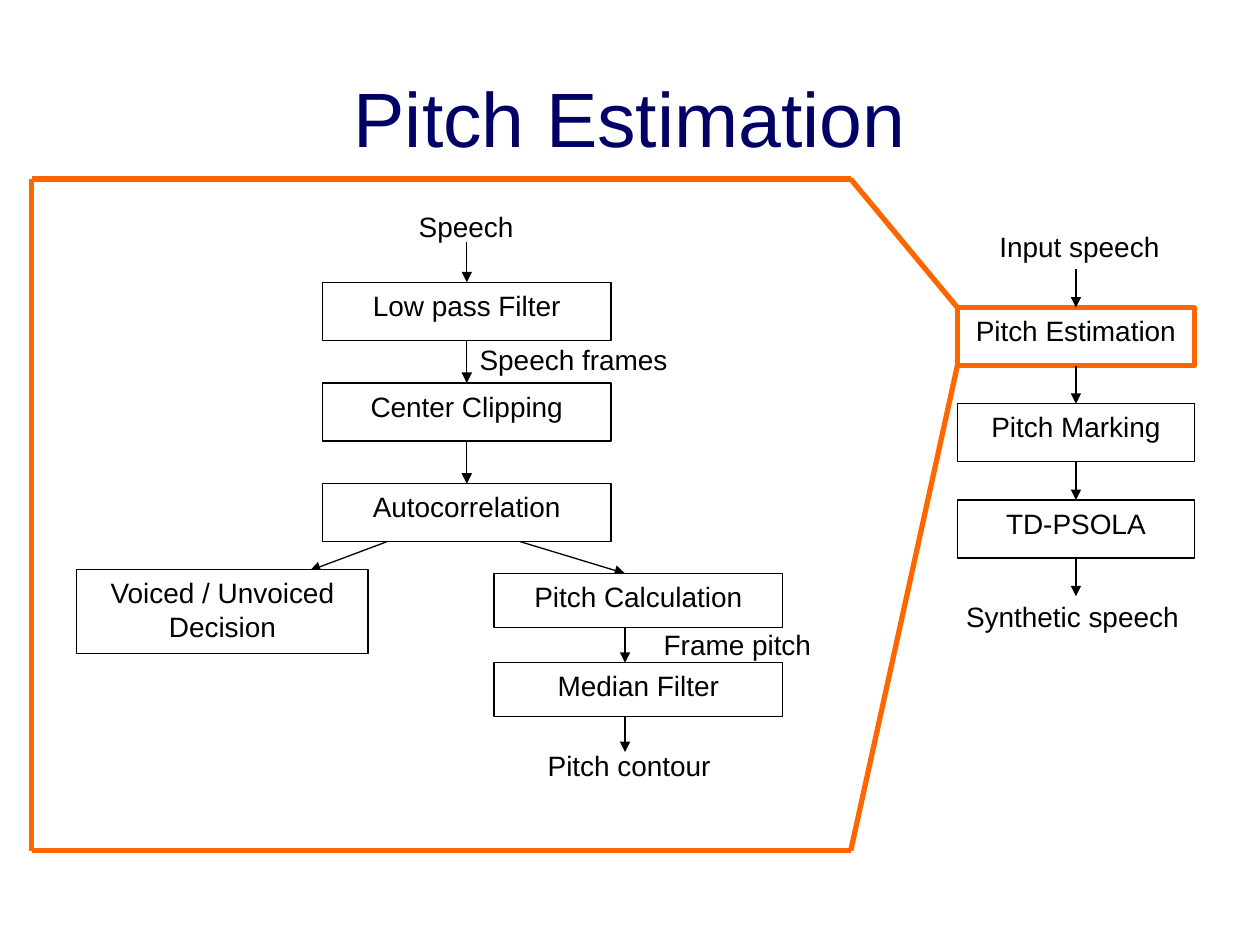
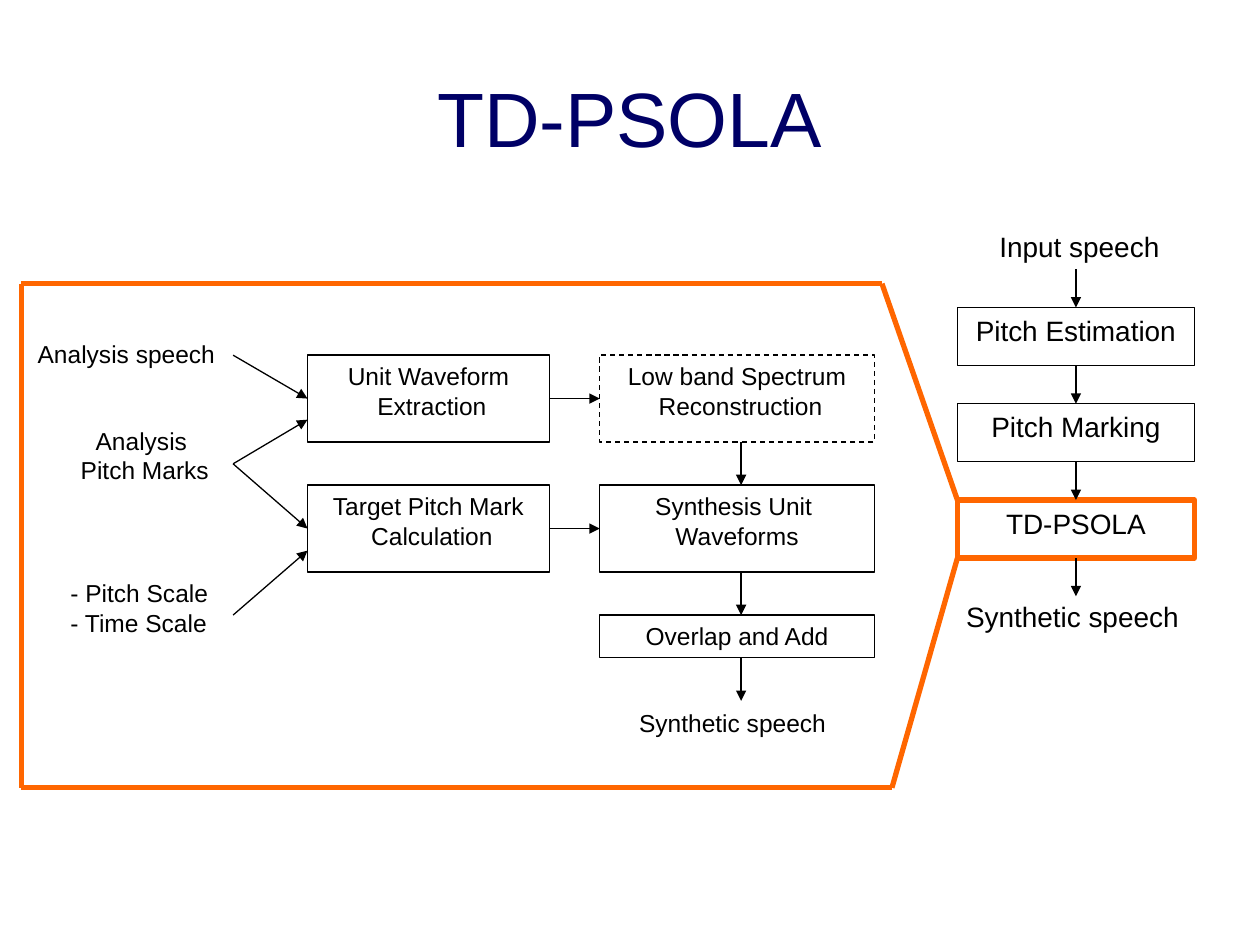
from dataclasses import dataclass

from lxml import etree
from pptx import Presentation
from pptx import util as u
from pptx.dml import color
from pptx.enum import dml, shapes, text
from pptx.oxml import ns

FONT = "Arial"
NAVY, ORANGE, BLACK, WHITE = "000066", "FF6600", "000000", "FFFFFF"
THIN, THICK = 0.75, 3
TOP, LEFT, BOTTOM, RIGHT = range(4)  # connection sites of a rectangle
STEP_NAMES = ["Pitch Estimation", "Pitch Marking", "TD-PSOLA"]


def rgb(value):
    return color.RGBColor.from_string(value)


def write(shape, words, size, ink=BLACK, align=text.PP_ALIGN.CENTER,
          anchor=text.MSO_ANCHOR.TOP):
    """Fill a shape with text, one paragraph for each line."""
    frame = shape.text_frame
    frame.word_wrap = True
    frame.vertical_anchor = anchor
    frame.text = words
    for para in frame.paragraphs:
        para.alignment = align
        for span in para.runs:
            span.font.name = FONT
            span.font.size = u.Pt(size)
            span.font.color.rgb = rgb(ink)


@dataclass
class Region:
    """Part of a page; lengths are centimetres from its top left corner."""
    page: object
    left: float
    top: float
    width: float
    height: float
    size: int = 16

    def point(self, x, y):
        return u.Cm(self.left + x), u.Cm(self.top + y)

    def node(self, words, x, y, width, height, ink=BLACK, weight=THIN, dashed=False):
        shape = self.page.shapes.add_shape(
            shapes.MSO_SHAPE.RECTANGLE, *self.point(x, y), u.Cm(width), u.Cm(height))
        shape.shadow.inherit = False
        shape.fill.solid()
        shape.fill.fore_color.rgb = rgb(WHITE)
        shape.line.color.rgb = rgb(ink)
        shape.line.width = u.Pt(weight)
        if dashed:
            shape.line.dash_style = dml.MSO_LINE.DASH
        write(shape, words, self.size)
        return shape

    def label(self, words, x, y, width, height, align=text.PP_ALIGN.CENTER):
        shape = self.page.shapes.add_textbox(
            *self.point(x, y), u.Cm(width), u.Cm(height))
        write(shape, words, self.size, align=align)

    def line(self, start, end, ink=BLACK, weight=THIN, arrow=True):
        """Each end is a point (x, y) or a joint (shape, site)."""
        joined = [hasattr(tip[0], "shape_id") for tip in (start, end)]
        tips = [(0, 0) if joint else self.point(*tip)
                for tip, joint in zip((start, end), joined)]
        line = self.page.shapes.add_connector(
            shapes.MSO_CONNECTOR.STRAIGHT, *tips[0], *tips[1])
        if joined[0]:
            line.begin_connect(*start)
        if joined[1]:
            line.end_connect(*end)
        line.line.color.rgb = rgb(ink)
        line.line.width = u.Pt(weight)
        properties = line._element.spPr
        if arrow:
            outline = properties.find(ns.qn("a:ln"))
            etree.SubElement(outline, ns.qn("a:tailEnd"), type="triangle")
        etree.SubElement(properties, ns.qn("a:effectLst"))


def add_title(page, words):
    box = page.shapes.add_textbox(u.Cm(1.27), u.Cm(0.76), u.Cm(22.86), u.Cm(3.18))
    write(box, words, 44, NAVY, anchor=text.MSO_ANCHOR.MIDDLE)


def draw_overview(page, current):
    """Column of processing steps; returns the highlighted step."""
    region = Region(page, 19.3, 4.5, 4.78, 8.4)
    first, step, height = 1.7, 1.94, 1.17
    gap, middle = step - height, region.width / 2
    region.label("Input speech", -0.08, 0, 5.08, 0.94)
    region.label("Synthetic speech", -0.46, 7.46, 5.56, 0.94)
    nodes = {}
    for row, name in enumerate(STEP_NAMES):
        look = (ORANGE, THICK) if name == current else (BLACK, THIN)
        nodes[name] = region.node(
            name, 0, first + row * step, region.width, height, *look)

    # Arrows into, between and out of the steps
    column = list(nodes.values())
    region.line((middle, first - gap), (column[0], TOP))
    for upper, lower in zip(column, column[1:]):
        region.line((upper, BOTTOM), (lower, TOP))
    end = first + len(column) * step
    region.line((column[-1], BOTTOM), (middle, end))
    return nodes[current]


def draw_callout(region, target, bottom_shift=0):
    """Orange frame around the region that narrows to the target's left side."""
    x = target.left.cm - region.left
    y = target.top.cm - region.top
    corners = [(x, y), (region.width, 0), (0, 0), (0, region.height),
               (region.width + bottom_shift, region.height),
               (x, y + target.height.cm)]
    for start, end in zip(corners, corners[1:]):
        region.line(start, end, ORANGE, THICK, arrow=False)


def draw_estimation(region):
    left, width, height, first, step = 5.86, 5.82, 1.17, 2.08, 2.03

    # Analysis chain
    region.label("Speech ", 5.66, 0.48, 6.35, 1.45)
    chain = [region.node(name, left, first + row * step, width, height)
             for row, name in enumerate(
                 ["Low pass Filter", "Center Clipping", "Autocorrelation"])]
    region.line((left + width / 2, 1.27), (chain[0], TOP))
    for upper, lower in zip(chain, chain[1:]):
        region.line((upper, BOTTOM), (lower, TOP))
    region.label("Speech frames", 8.78, 3.17, 4.75, 1.14, text.PP_ALIGN.LEFT)

    # Voicing branch
    fork = first + 2 * step + height
    region.line((7.16, fork), (5.61, 7.89))
    region.node("Voiced / Unvoiced\nDecision", 0.91, 7.87, 5.87, 1.7)

    # Pitch branch
    axis, top, branch_step, branch_height = 11.96, 7.95, 1.8, 1.09
    region.line((9.85, fork), (axis, top))
    for row, name in enumerate(["Pitch Calculation", "Median Filter"]):
        y = top + row * branch_step
        region.node(name, 9.32, y, width, branch_height)
        region.line((axis, y + branch_height), (axis, y + branch_step))
    region.label("Frame pitch", 12.49, 8.91, 3.71, 0.91, text.PP_ALIGN.LEFT)
    region.label("Pitch contour", 8.96, 11.35, 6.17, 1.14)


def draw_synthesis(region):
    near, far, near_width, far_width = 5.77, 11.66, 4.88, 5.54
    first, step, height, last_height = 1.44, 2.62, 1.75, 0.86
    second, third = first + step, first + 2 * step

    # Inputs
    region.label("Analysis speech", 0.08, 0.99, 4.62, 1.32, text.PP_ALIGN.LEFT)
    region.label("Analysis \nPitch Marks", 0.23, 2.74, 4.52, 2.03)
    region.label("- Pitch Scale\n- Time Scale", 0.74, 5.81, 4.04, 1.75,
                 text.PP_ALIGN.LEFT)

    # Processing blocks
    unit = region.node("Unit Waveform\n Extraction", near, first, near_width, height)
    target = region.node("Target Pitch Mark\n Calculation",
                         near, second, near_width, height)
    spectrum = region.node("Low band Spectrum\n Reconstruction",
                           far, first, far_width, height, dashed=True)
    synthesis = region.node("Synthesis Unit \nWaveforms",
                            far, second, far_width, height)
    region.node("Overlap and Add", far, third, far_width, last_height)
    region.label("Synthetic speech", far, 8.43, 5.36, 0.86)

    # Arrows from the inputs
    source, marks = 4.27, 3.63
    region.line((source, first), (unit, LEFT))
    region.line((source, marks), (near, 2.74))
    region.line((source, marks), (target, LEFT))
    region.line((source, third), (near, 5.38))

    # Arrows between the blocks
    region.line((unit, RIGHT), (spectrum, LEFT))
    region.line((target, RIGHT), (synthesis, LEFT))
    axis, gap = 14.51, step - height
    for bottom in (first + height, second + height, third + last_height):
        region.line((axis, bottom), (axis, bottom + gap))


def main():
    deck = Presentation()
    deck.slide_width, deck.slide_height = u.Cm(25.4), u.Cm(19.05)
    # Topic, frame box, text size, drawing, shift of the lower right corner
    topics = [
        ("Pitch Estimation", (0.64, 3.61, 16.51, 13.54), 16, draw_estimation, 0),
        ("TD-PSOLA", (0.43, 5.72, 17.35, 10.16), 14, draw_synthesis, 0.2),
    ]
    for topic, box, size, draw_detail, shift in topics:
        page = deck.slides.add_slide(deck.slide_layouts[6])
        add_title(page, topic)
        target = draw_overview(page, topic)
        region = Region(page, *box, size)
        draw_detail(region)
        draw_callout(region, target, shift)
    deck.save("out.pptx")


if __name__ == "__main__":
    main()
